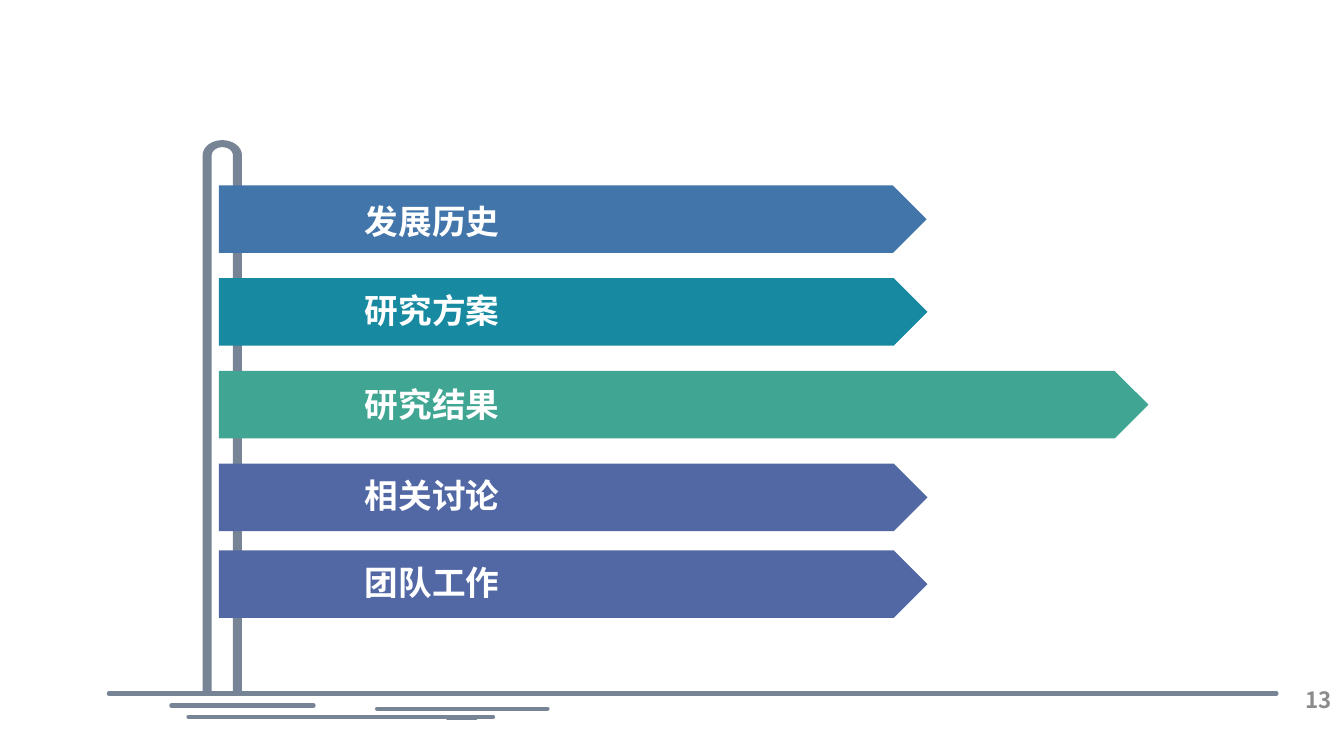
from math import cos, pi, sin

from lxml import etree
from pptx import Presentation
from pptx.dml.color import RGBColor
from pptx.enum.shapes import MSO_CONNECTOR, MSO_SHAPE
from pptx.enum.text import MSO_ANCHOR, PP_ALIGN
from pptx.oxml.ns import qn
from pptx.util import Inches, Pt

STRAIGHT = MSO_CONNECTOR.STRAIGHT
SIGN_SHAPE = MSO_SHAPE.PENTAGON
LEFT, RIGHT = PP_ALIGN.LEFT, PP_ALIGN.RIGHT
TOP, MIDDLE = MSO_ANCHOR.TOP, MSO_ANCHOR.MIDDLE

SLATE = RGBColor(0x77, 0x84, 0x95)
BLUE = RGBColor(0x42, 0x76, 0xAA)
TEAL = RGBColor(0x17, 0x8A, 0xA1)
GREEN = RGBColor(0x40, 0xA6, 0x93)
INDIGO = RGBColor(0x52, 0x68, 0xA5)
WHITE = RGBColor(0xFF, 0xFF, 0xFF)
GREY = RGBColor(0x8C, 0x8C, 0x8C)
FONT = "Noto Sans CJK SC"

# label, colour, sign length, label width, label drop below the sign's top
SIGNS = [
    ("发展历史", BLUE, 7.02, 7.87, 0.10),
    ("研究方案", TEAL, 7.03, 3.15, 0.07),
    ("研究结果", GREEN, 9.22, 5.68, 0.08),
    ("相关讨论", INDIGO, 7.03, 5.67, 0.06),
    ("团队工作", INDIGO, 7.03, 5.67, 0.07),
]
SIGN_LEFT, SIGN_TOP, SIGN_HEIGHT, SIGN_PITCH = 2.17, 1.84, 0.67, 0.92
LAST_SIGN_TOP = 5.46
LABEL_LEFT, LABEL_HEIGHT = 3.52, 0.5
PAGE_NUMBER = "13"

GROUND = 6.88
# left end, right end, height of each stroke on the ground
GROUND_STROKES = [
    (1.36, 12.66, GROUND), (1.08, 1.47, GROUND),
    (3.74, 5.43, 7.03), (5.04, 5.38, 7.03),
    (2.14, 4.89, 7.11), (1.87, 2.21, 7.11),
    (1.70, 3.11, 7.00), (4.44, 4.72, 7.12),
]
POST_LEFT, POST_WIDTH, POST_SHOULDER = 2.01, 0.39, 1.54
POST_CENTRE = POST_LEFT + POST_WIDTH / 2
POST_WALL = 0.09
POST_OUTER = (POST_WIDTH / 2, 0.15)
POST_INNER = (POST_WIDTH / 2 - POST_WALL, 0.08)
ARC_STEPS = 16


def post_side(radii):
    """Points up the right leg, over the arch and down the left leg."""
    across, up = radii
    arch = [(POST_CENTRE + across * cos(pi * step / ARC_STEPS),
             POST_SHOULDER - up * sin(pi * step / ARC_STEPS))
            for step in range(ARC_STEPS + 1)]
    side = [(POST_CENTRE + across, GROUND), *arch, (POST_CENTRE - across, GROUND)]
    return [(Inches(x), Inches(y)) for x, y in side]


def paint(shape, colour):
    shape.shadow.inherit = False
    shape.fill.solid()
    shape.fill.fore_color.rgb = colour
    shape.line.fill.background()


def add_post(slide):
    outline = post_side(POST_OUTER) + post_side(POST_INNER)[::-1]
    builder = slide.shapes.build_freeform(*outline[0])
    builder.add_line_segments(outline[1:], close=True)
    paint(builder.convert_to_shape(), SLATE)


def add_stroke(slide, left, right, height):
    stroke = slide.shapes.add_connector(
        STRAIGHT, Inches(left), Inches(height), Inches(right), Inches(height))
    stroke.line.color.rgb = SLATE
    stroke.line.width = Pt(3)
    outline = stroke.line._get_or_add_ln()
    outline.set("cap", "rnd")
    etree.SubElement(outline.getparent(), qn("a:effectLst"))


def add_label(slide, text, box, size, colour, align=LEFT, anchor=TOP):
    frame = slide.shapes.add_textbox(*map(Inches, box)).text_frame
    frame.word_wrap = True
    frame.vertical_anchor = anchor
    paragraph = frame.paragraphs[0]
    paragraph.text = text
    paragraph.alignment = align
    font = paragraph.font
    font.size, font.bold, font.name = Pt(size), True, FONT
    font.color.rgb = colour
    defaults = paragraph._p.pPr.find(qn("a:defRPr"))
    etree.SubElement(defaults, qn("a:ea"), typeface=FONT)


def main():
    deck = Presentation()
    deck.slide_width, deck.slide_height = Inches(13.33), Inches(7.5)
    slide = deck.slides.add_slide(deck.slide_layouts[6])

    add_post(slide)
    for left, right, height in GROUND_STROKES:
        add_stroke(slide, left, right, height)

    for row, (label, colour, length, label_width, drop) in enumerate(SIGNS):
        top = min(SIGN_TOP + row * SIGN_PITCH, LAST_SIGN_TOP)
        sign = slide.shapes.add_shape(
            SIGN_SHAPE, Inches(SIGN_LEFT), Inches(top),
            Inches(length), Inches(SIGN_HEIGHT))
        paint(sign, colour)
        add_label(slide, label, (LABEL_LEFT, top + drop, label_width, LABEL_HEIGHT),
                  24, WHITE)

    add_label(slide, PAGE_NUMBER, (10.2, 6.74, 3.11, 0.4), 16, GREY, RIGHT, MIDDLE)
    deck.save("out.pptx")


if __name__ == "__main__":
    main()
